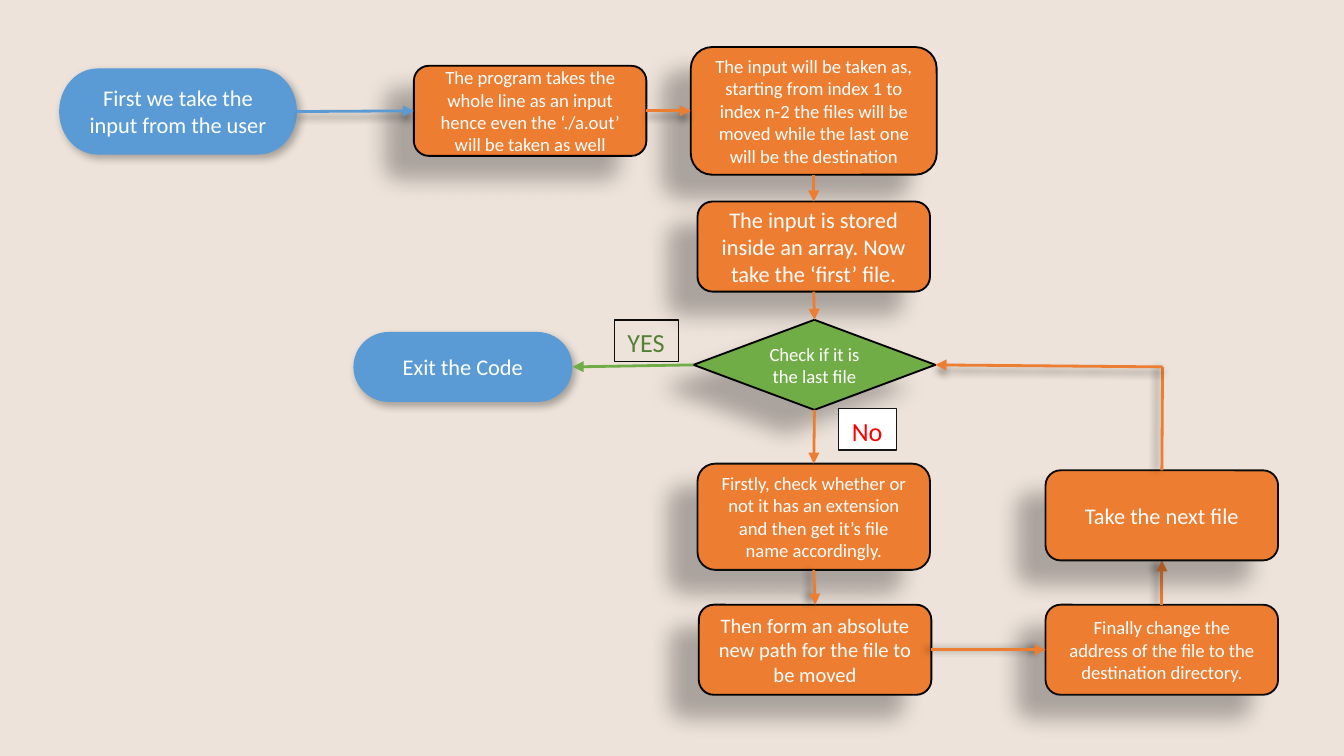
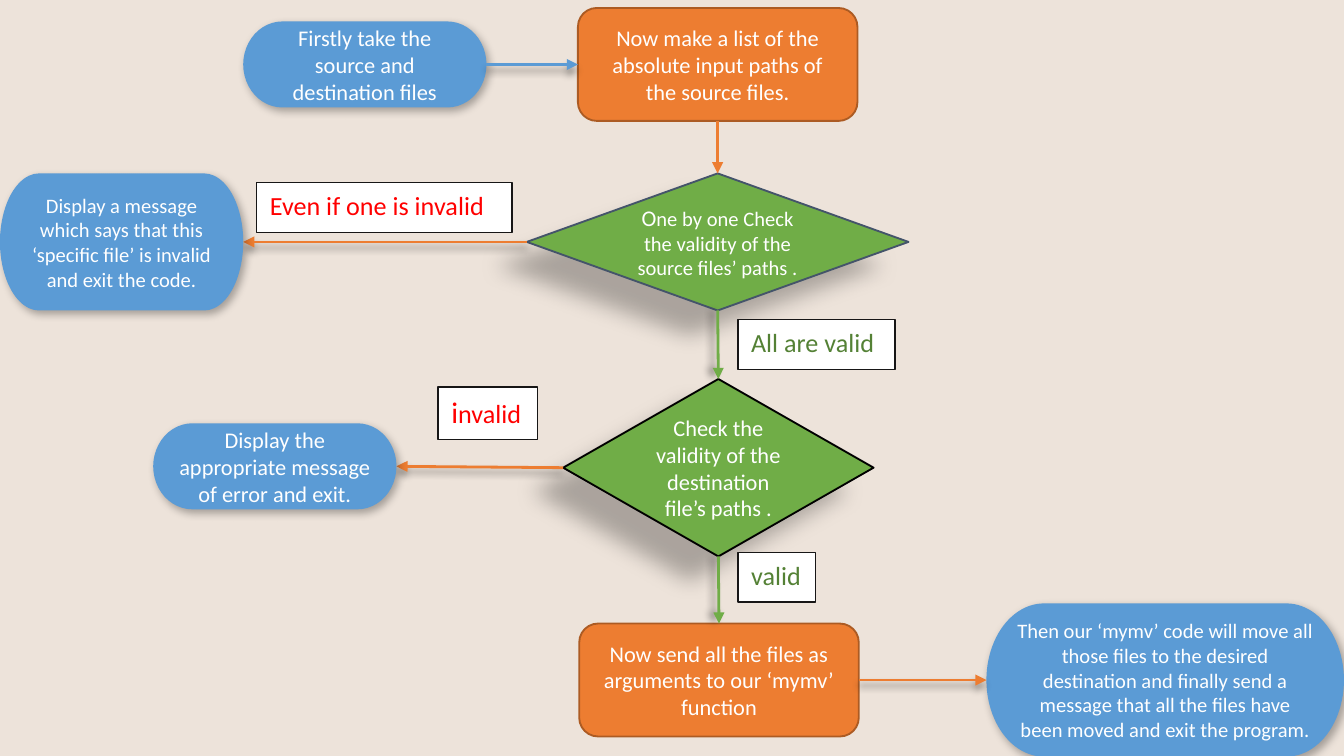
"""Build two flowchart slides describing a file-moving program."""
from dataclasses import dataclass
from typing import NamedTuple, Optional, Union

from lxml import etree
from pptx import Presentation
from pptx import util as u
from pptx.dml import color
from pptx.enum import shapes, text
from pptx.oxml import ns

FONT = "Calibri"
COLORS = {
    "background": "EDE3DA", "white": "FFFFFF", "black": "000000",
    "ink": "0C0C0C", "label ink": "171616", "blue": "5B9BD5",
    "orange": "ED7D31", "brown": "AC5B23", "green": "70AD47",
    "slate": "44546A", "yes": "548135", "no": "FF0000",
}
TOP, LEFT, BOTTOM, RIGHT = range(4)


class Shadow(NamedTuple):
    opacity: int
    blur: float
    distance: float
    angle: int


class Kind(NamedTuple):
    preset: shapes.MSO_SHAPE
    fill: str
    shadow: Optional[Shadow]


class Site(NamedTuple):
    box: str
    side: int


class Point(NamedTuple):
    left: float
    top: float


SOFT = Shadow(30, 4.5, 2.6, 53)
DEEP = Shadow(28, 11.8, 19.7, 141)
TERMINAL = Kind(shapes.MSO_SHAPE.FLOWCHART_TERMINATOR, "blue", SOFT)
STEP = Kind(shapes.MSO_SHAPE.FLOWCHART_ALTERNATE_PROCESS, "orange", DEEP)
FLAT_STEP = STEP._replace(shadow=None)
DECISION = Kind(shapes.MSO_SHAPE.FLOWCHART_DECISION, "green", DEEP)


@dataclass(frozen=True)
class Box:
    name: str
    kind: Kind
    place: tuple[float, float, float, float]
    words: str
    size: int = 12
    outline: Optional[str] = None
    first_size: Optional[int] = None


@dataclass(frozen=True)
class Label:
    place: tuple[float, float, float, float]
    words: str
    color: str
    fill: Optional[str] = "white"
    outline: str = "label ink"
    first_size: Optional[int] = None


@dataclass(frozen=True)
class Arrow:
    begin: Union[Site, Point]
    end: Union[Site, Point]
    color: str = "orange"
    shadow_angle: Optional[int] = None
    head: bool = True
    behind: bool = False


@dataclass(frozen=True)
class Flowchart:
    boxes: list[Box]
    arrows: list[Arrow]
    labels: list[Label]


CORNER = Point(8.65, 2.73)
FLOWCHARTS = [
    Flowchart(
        boxes=[
            Box("input", TERMINAL, (0.44, 0.51, 1.77, 0.64),
                "First we take the input from the user"),
            Box("line", STEP, (3.08, 0.49, 1.73, 0.67),
                "The program takes the whole line as an input hence even the "
                "‘./a.out’ will be taken as well", 10, "black"),
            Box("indexes", STEP, (5.14, 0.35, 1.83, 0.95),
                "The input will be taken as, starting from index 1 to index n-2 the "
                "files will be moved while the last one will be the destination",
                10, "black"),
            Box("extension", STEP, (5.19, 3.45, 1.73, 0.79),
                "Firstly, check whether or not it has an extension and then get "
                "it’s file name accordingly.", 10, "ink"),
            Box("array", STEP, (5.19, 1.5, 1.73, 0.67),
                "The input is stored inside an array. Now take the ‘first’ file.",
                outline="black"),
            Box("last file", DECISION, (5.16, 2.38, 1.8, 0.67),
                "Check if it is the last file", 10, "black"),
            Box("address", STEP, (7.78, 4.5, 1.73, 0.67),
                "Finally change the address of the file to the destination "
                "directory.", 10, "ink"),
            Box("new path", STEP, (5.2, 4.5, 1.73, 0.67),
                "Then form an absolute new path for the file to be moved",
                11, "black"),
            Box("next file", STEP, (7.78, 3.5, 1.73, 0.67),
                "Take the next file", outline="ink"),
            Box("exit", TERMINAL, (2.63, 2.47, 1.63, 0.52), "Exit the Code"),
        ],
        arrows=[
            Arrow(Site("address", TOP), Site("next file", BOTTOM),
                  shadow_angle=180, behind=True),
            Arrow(Site("next file", TOP), CORNER, shadow_angle=180, head=False),
            Arrow(CORNER, Site("last file", RIGHT), shadow_angle=90),
            Arrow(Site("input", RIGHT), Site("line", LEFT), "blue", 90),
            Arrow(Site("line", RIGHT), Site("indexes", LEFT), shadow_angle=90),
            Arrow(Site("indexes", BOTTOM), Site("array", TOP)),
            Arrow(Site("last file", LEFT), Site("exit", RIGHT), "green"),
            Arrow(Site("array", BOTTOM), Site("last file", TOP)),
            Arrow(Site("last file", BOTTOM), Site("extension", TOP)),
            Arrow(Site("extension", BOTTOM), Site("new path", TOP),
                  shadow_angle=180),
            Arrow(Site("new path", RIGHT), Site("address", LEFT),
                  shadow_angle=180),
        ],
        labels=[
            Label((4.57, 2.38, 0.48, 0.31), "YES", "yes", None, "ink"),
            Label((6.24, 3.04, 0.43, 0.31), "No", "no"),
        ],
    ),
    Flowchart(
        boxes=[
            Box("send", FLAT_STEP, (4.31, 4.64, 2.08, 0.84),
                "Now send all the files as arguments to our ‘mymv’ function",
                outline="brown"),
            Box("list", FLAT_STEP, (4.3, 0.06, 2.08, 0.84),
                "Now make a list of the absolute input paths of the source files.",
                outline="brown"),
            Box("files", TERMINAL, (1.81, 0.16, 1.81, 0.64),
                "Firstly take the source and destination files"),
            Box("sources", DECISION, (3.92, 1.29, 2.84, 1.02),
                "One by one Check the validity of the source files’ paths .",
                11, "slate", first_size=12),
            Box("destination", DECISION, (4.19, 2.82, 2.31, 1.32),
                "Check the validity of the destination file’s paths .",
                outline="black"),
            Box("move", TERMINAL, (7.34, 4.49, 2.66, 1.14),
                "Then our ‘mymv’ code will move all those files to the desired "
                "destination and finally send a message that all the files have "
                "been moved and exit the program.", 11),
            Box("invalid file", TERMINAL, (0, 1.29, 1.81, 1.02),
                "Display a message which says that this ‘specific file’ is invalid "
                "and exit the code.", 11),
            Box("error", TERMINAL, (1.14, 3.15, 1.81, 0.64),
                "Display the appropriate message of error and exit."),
        ],
        arrows=[
            Arrow(Site("files", RIGHT), Site("list", LEFT), "blue", 90),
            Arrow(Site("list", BOTTOM), Site("sources", TOP)),
            Arrow(Site("sources", BOTTOM), Site("destination", TOP), "green", 180),
            Arrow(Site("destination", BOTTOM), Site("send", TOP), "green", 180),
            Arrow(Site("send", RIGHT), Site("move", LEFT), shadow_angle=90),
            Arrow(Site("sources", LEFT), Site("invalid file", RIGHT),
                  shadow_angle=90, behind=True),
            Arrow(Site("destination", LEFT), Site("error", RIGHT),
                  shadow_angle=90, behind=True),
        ],
        labels=[
            Label((5.49, 2.38, 1.17, 0.37), "All are valid", "yes"),
            Label((5.49, 4.11, 0.58, 0.37), "valid", "yes"),
            Label((3.26, 2.88, 0.74, 0.39), "invalid", "no", first_size=16),
            Label((1.91, 1.36, 1.9, 0.37), "Even if one is invalid", "no"),
        ],
    ),
]


def rgb(name: str) -> color.RGBColor:
    return color.RGBColor.from_string(COLORS[name])


def set_shadow(properties, shadow: Optional[Shadow]) -> None:
    effects = properties.find(ns.qn("a:effectLst"))
    if effects is None:
        effects = etree.SubElement(properties, ns.qn("a:effectLst"))
    if shadow is None:
        return
    outer = etree.SubElement(
        effects, ns.qn("a:outerShdw"), blurRad=str(int(u.Pt(shadow.blur))),
        dist=str(int(u.Pt(shadow.distance))), dir=str(shadow.angle * 60000),
        algn="ctr", rotWithShape="0")
    tint = etree.SubElement(outer, ns.qn("a:srgbClr"), val=COLORS["black"])
    etree.SubElement(tint, ns.qn("a:alpha"), val=str(shadow.opacity * 1000))


def write_text(shape, words: str, *, size: int, ink: str, align, anchor,
               first_size: Optional[int] = None) -> None:
    frame = shape.text_frame
    frame.word_wrap = True
    frame.vertical_anchor = anchor
    paragraph = frame.paragraphs[0]
    paragraph.alignment = align
    runs = [(words, size)]
    if first_size:
        runs = [(words[0], first_size), (words[1:], size)]
    for content, run_size in runs:
        run = paragraph.add_run()
        run.text = content
        run.font.name = FONT
        run.font.size = u.Pt(run_size)
        run.font.color.rgb = rgb(ink)


def add_panel(slide, preset, place, fill: Optional[str], outline: Optional[str],
              weight: float, shadow: Optional[Shadow] = None):
    shape = slide.shapes.add_shape(preset, *map(u.Inches, place))
    if fill:
        shape.fill.solid()
        shape.fill.fore_color.rgb = rgb(fill)
    else:
        shape.fill.background()
    if outline:
        shape.line.color.rgb = rgb(outline)
        shape.line.width = u.Pt(weight)
    else:
        shape.line.fill.background()
    shape.shadow.inherit = False
    set_shadow(shape.element.spPr, shadow)
    return shape


def add_box(slide, box: Box):
    shape = add_panel(slide, box.kind.preset, box.place, box.kind.fill,
                      box.outline, 1, box.kind.shadow)
    write_text(shape, box.words, size=box.size, ink="white",
               align=text.PP_ALIGN.CENTER, anchor=text.MSO_ANCHOR.MIDDLE,
               first_size=box.first_size)
    return shape


def add_label(slide, label: Label) -> None:
    shape = add_panel(slide, shapes.MSO_SHAPE.RECTANGLE, label.place, label.fill,
                      label.outline, 0.75)
    write_text(shape, label.words, size=14, ink=label.color,
               align=text.PP_ALIGN.LEFT, anchor=text.MSO_ANCHOR.TOP,
               first_size=label.first_size)


def add_arrow(slide, arrow: Arrow, drawn: dict) -> None:
    ends = [end if isinstance(end, Point) else Point(0, 0)
            for end in (arrow.begin, arrow.end)]
    connector = slide.shapes.add_connector(
        shapes.MSO_CONNECTOR.STRAIGHT,
        *(u.Inches(value) for end in ends for value in end))
    for end, connect in ((arrow.begin, connector.begin_connect),
                         (arrow.end, connector.end_connect)):
        if isinstance(end, Site):
            connect(drawn[end.box], end.side)
    connector.line.color.rgb = rgb(arrow.color)
    connector.line.width = u.Pt(1.5)
    properties = connector.element.spPr
    if arrow.head:
        etree.SubElement(properties.find(ns.qn("a:ln")), ns.qn("a:tailEnd"),
                         type="triangle")
    angle = arrow.shadow_angle
    set_shadow(properties, None if angle is None else Shadow(40, 4, 3, angle))
    if arrow.behind:
        drawn[arrow.end.box].element.addprevious(connector.element)


def main() -> None:
    presentation = Presentation()
    presentation.slide_width = u.Inches(10)
    presentation.slide_height = u.Inches(10) * 9 // 16
    background = presentation.slide_master.background.fill
    background.solid()
    background.fore_color.rgb = rgb("background")
    for flowchart in FLOWCHARTS:
        slide = presentation.slides.add_slide(presentation.slide_layouts[6])
        drawn = {box.name: add_box(slide, box) for box in flowchart.boxes}
        for arrow in flowchart.arrows:
            add_arrow(slide, arrow, drawn)
        for label in flowchart.labels:
            add_label(slide, label)
    presentation.save("out.pptx")


if __name__ == "__main__":
    main()
